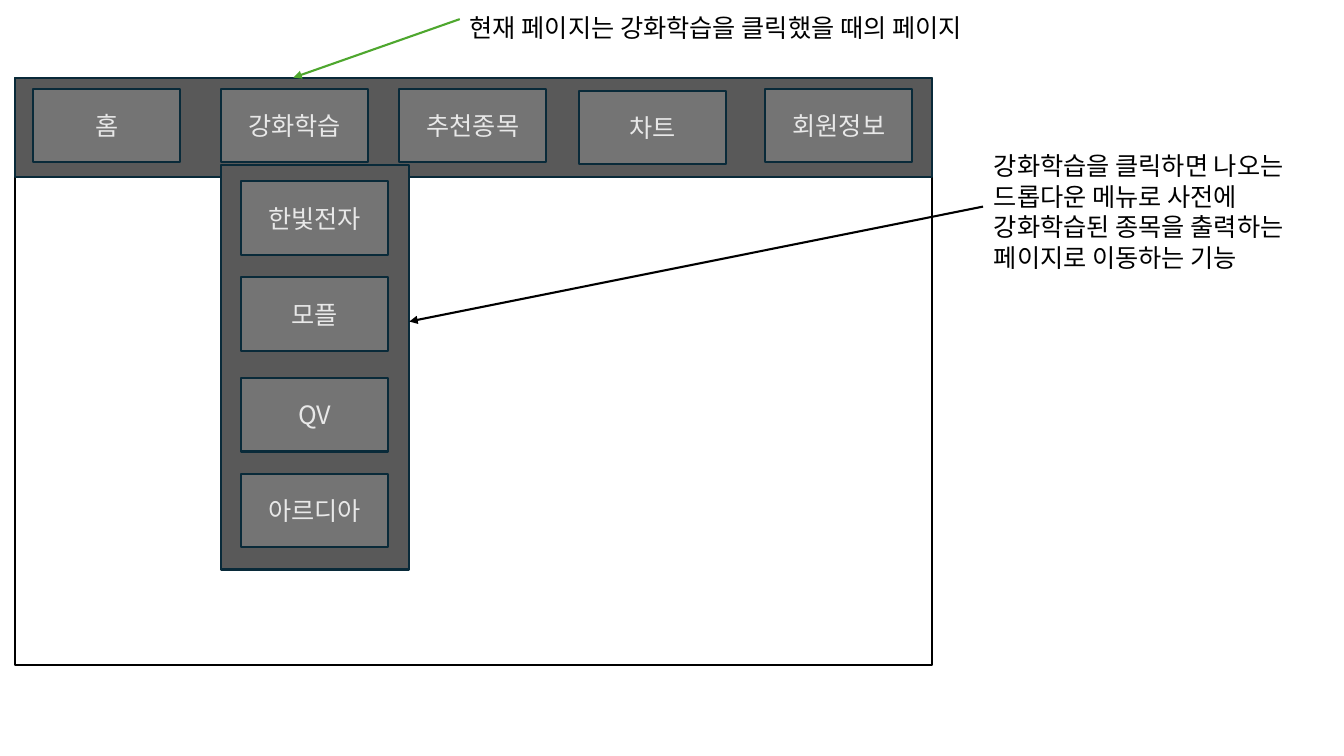
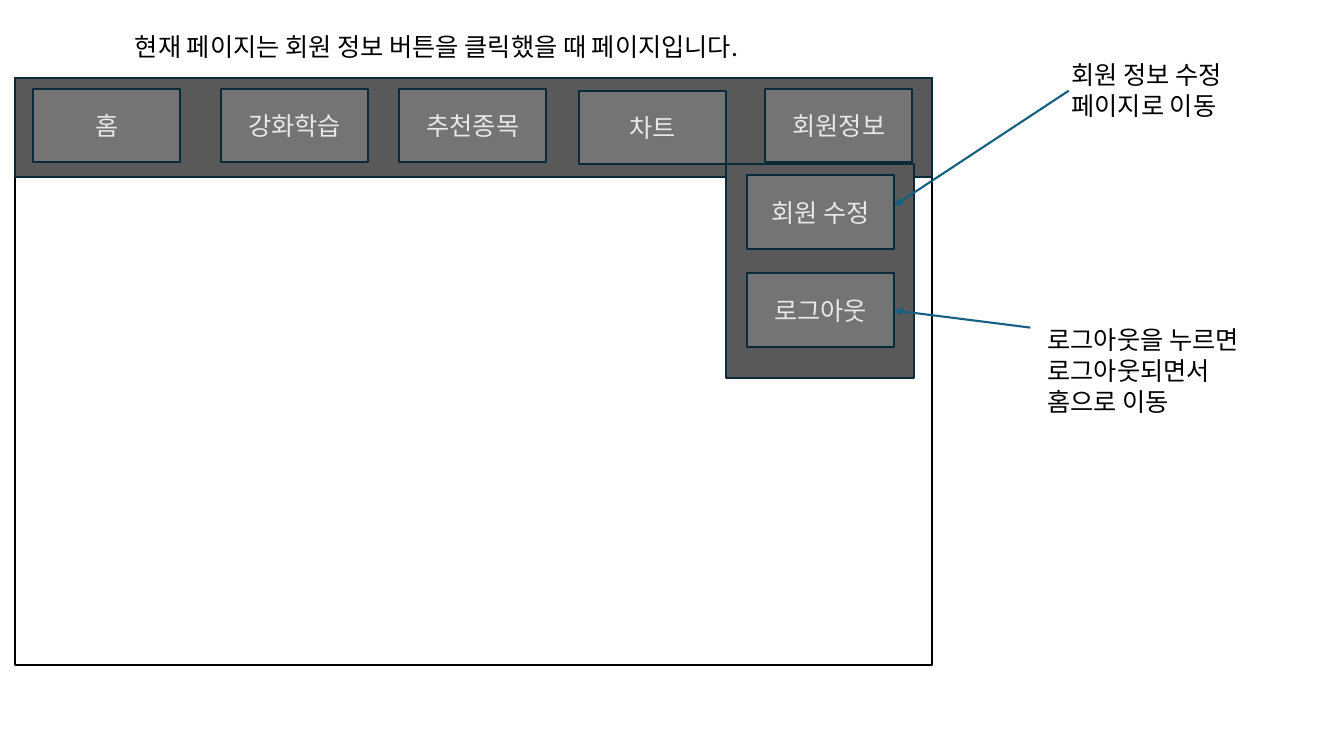
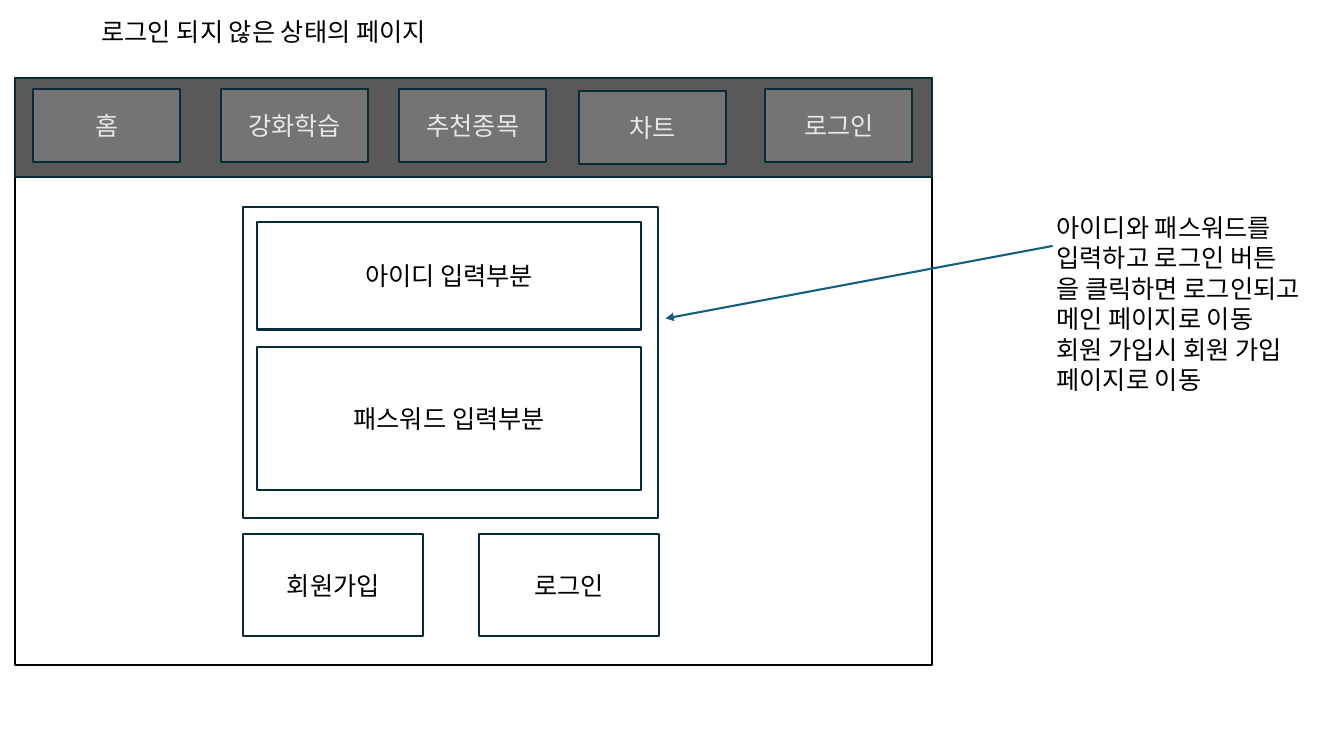
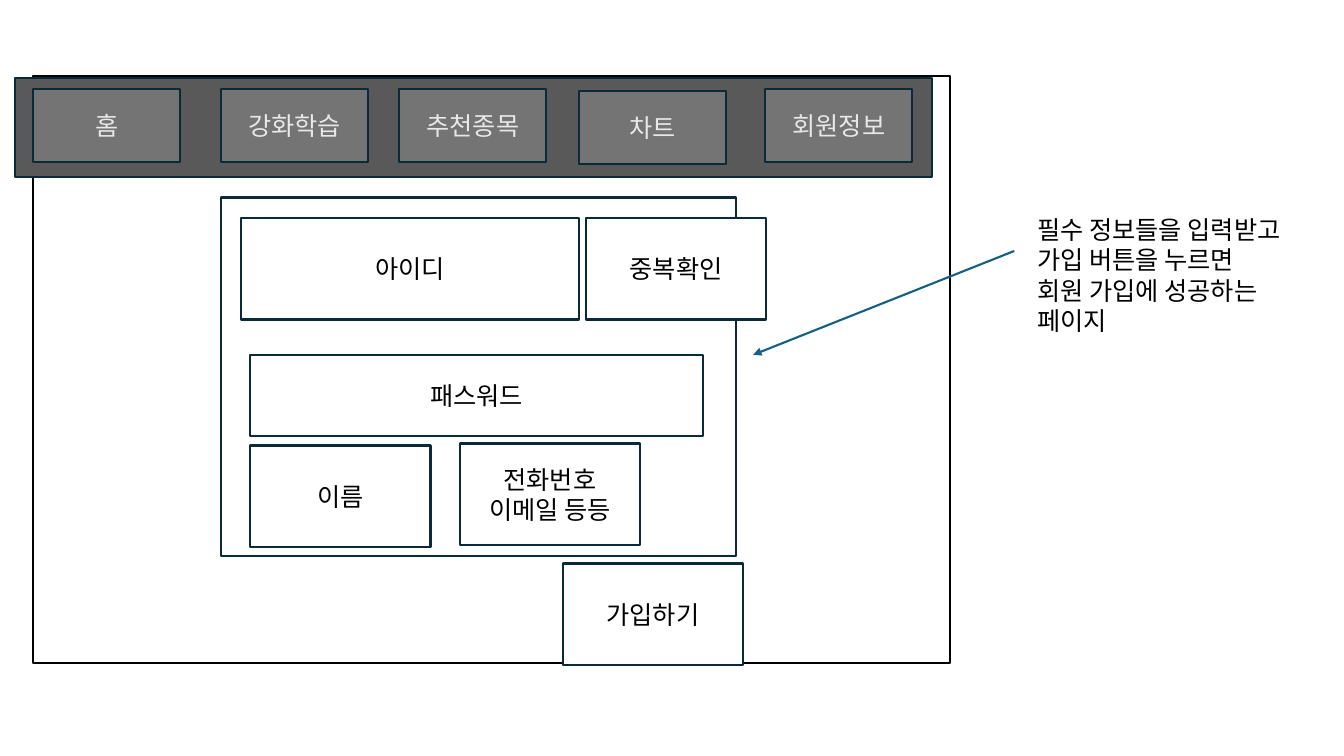
from dataclasses import dataclass

from lxml import etree
from pptx import Presentation
from pptx.dml.color import RGBColor
from pptx.enum import shapes, text
from pptx.oxml.ns import qn
from pptx.util import Inches, Pt


@dataclass(frozen=True)
class Theme:
    font: str = "Noto Sans CJK KR"
    text_size: float = 18
    line_spacing: float = 21.8
    line_width: float = 1.5
    black: str = "000000"
    white: str = "FFFFFF"
    panel: str = "595959"
    button: str = "747474"
    button_text: str = "E8E8E8"
    outline: str = "092A39"
    blue: str = "156082"
    green: str = "4EA72E"


theme = Theme()
# Style name: fill, outline, text colour
BOX_STYLES = {
    "frame": (theme.white, theme.black, theme.black),
    "panel": (theme.panel, theme.outline, theme.button_text),
    "button": (theme.button, theme.outline, theme.button_text),
    "field": (theme.white, theme.outline, theme.black),
}
BUTTON_SIZE = (1.46, 0.73)
FIELD_SIZE = (1.79, 1.01)
FRAME_SIZE = (9.09, 5.83)
MENU_BAR = (0.15, 0.77, 9.09, 0.99)
MENU = [
    (0.33, 0.88, "홈"),
    (2.19, 0.88, "강화학습"),
    (3.96, 0.88, "추천종목"),
    (5.74, 0.9, "차트"),
]
LAST_MENU_PLACE = (7.59, 0.88)


def add_box(slide, style, at, *lines):
    """Add a styled rectangle, or a plain text box when the style is "note"."""
    lengths = [Inches(length) for length in at]
    if style == "note":
        shape = slide.shapes.add_textbox(*lengths)
        color, alignment = theme.black, text.PP_ALIGN.LEFT
        shape.text_frame.auto_size = text.MSO_AUTO_SIZE.SHAPE_TO_FIT_TEXT
    else:
        fill, outline, color = BOX_STYLES[style]
        alignment = text.PP_ALIGN.CENTER
        shape = slide.shapes.add_shape(shapes.MSO_SHAPE.RECTANGLE, *lengths)
        shape.shadow.inherit = False
        shape.fill.solid()
        shape.fill.fore_color.rgb = RGBColor.from_string(fill)
        shape.line.color.rgb = RGBColor.from_string(outline)
        shape.line.width = Pt(theme.line_width)
        shape.text_frame.vertical_anchor = text.MSO_ANCHOR.MIDDLE
    frame = shape.text_frame
    frame.word_wrap = True
    for index, line in enumerate(lines):
        paragraph = frame.add_paragraph() if index else frame.paragraphs[0]
        paragraph.alignment = alignment
        paragraph.line_spacing = Pt(theme.line_spacing)
        run = paragraph.add_run()
        run.text = line
        for name, value in {"name": theme.font, "size": Pt(theme.text_size)}.items():
            setattr(run.font, name, value)
        run.font.color.rgb = RGBColor.from_string(color)
        east_asian = etree.SubElement(run._r.get_or_add_rPr(), qn("a:ea"))
        east_asian.set("typeface", theme.font)


def add_arrow(slide, color, start, end):
    arrow = slide.shapes.add_connector(
        shapes.MSO_CONNECTOR.STRAIGHT, *[Inches(length) for length in start + end]
    )
    arrow.line.color.rgb = RGBColor.from_string(color)
    arrow.line.width = Pt(theme.line_width)
    etree.SubElement(arrow.line._get_or_add_ln(), qn("a:tailEnd")).set("type", "triangle")
    etree.SubElement(arrow._element.spPr, qn("a:effectLst"))


pages = [
    {
        "frame": (0.15, 0.77),
        "last_menu": "회원정보",
        "boxes": [
            ("panel", (2.19, 1.64, 1.87, 4.01)),
            ("button", (2.39, 1.8, *BUTTON_SIZE), "한빛전자"),
            ("button", (2.39, 2.75, *BUTTON_SIZE), "모플"),
            ("button", (2.39, 3.75, *BUTTON_SIZE), "QV"),
            ("button", (2.39, 4.7, *BUTTON_SIZE), "아르디아"),
            ("note", (4.56, 0.07, 5.7, 0.4), "현재 페이지는 강화학습을 클릭했을 때의 페이지"),
            ("note", (9.76, 1.44, 3.41, 1.31), "강화학습을 클릭하면 나오는", "드롭다운 메뉴로 사전에",
             "강화학습된 종목을 출력하는", "페이지로 이동하는 기능"),
        ],
        "arrows": [
            (theme.green, (4.56, 0.19), (2.91, 0.77)),
            (theme.black, (9.75, 2.05), (4.06, 3.19)),
        ],
    },
    {
        "frame": (0.15, 0.77),
        "last_menu": "회원정보",
        "boxes": [
            ("panel", (7.2, 1.63, 1.87, 2.12)),
            ("button", (7.41, 1.74, *BUTTON_SIZE), "회원 수정"),
            ("button", (7.41, 2.71, *BUTTON_SIZE), "로그아웃"),
            ("note", (1.24, 0.26, 6.89, 0.4), "현재 페이지는 회원 정보 버튼을 클릭했을 때 페이지입니다."),
            ("note", (10.29, 3.17, 2.31, 1.01), "로그아웃을 누르면", "로그아웃되면서", "홈으로 이동"),
            ("note", (10.53, 0.54, 1.9, 0.71), "회원 정보 수정", "페이지로 이동"),
        ],
        "arrows": [
            (theme.blue, (10.22, 3.25), (8.87, 3.08)),
            (theme.blue, (10.6, 0.9), (8.87, 2.04)),
        ],
    },
    {
        "frame": (0.15, 0.77),
        "last_menu": "로그인",
        "boxes": [
            ("note", (0.91, 0.11, 3.84, 0.4), "로그인 되지 않은 상태의 페이지"),
            ("field", (2.41, 2.05, 4.12, 3.09)),
            ("field", (2.55, 2.2, 3.81, 1.07), "아이디 입력부분"),
            ("field", (2.55, 3.44, 3.81, 1.42), "패스워드 입력부분"),
            ("field", (2.41, 5.3, *FIELD_SIZE), "회원가입"),
            ("field", (4.75, 5.3, *FIELD_SIZE), "로그인"),
            ("note", (10.38, 2.05, 2.91, 1.92), "아이디와 패스워드를", "입력하고 로그인 버튼",
             "을 클릭하면 로그인되고", "메인 페이지로 이동", "회원 가입시 회원 가입", "페이지로 이동"),
        ],
        "arrows": [(theme.blue, (10.44, 2.44), (6.6, 3.16))],
    },
    {
        "frame": (0.33, 0.75),
        "last_menu": "회원정보",
        "boxes": [
            ("field", (2.19, 1.96, 5.11, 3.56)),
            ("field", (5.58, 5.59, *FIELD_SIZE), "가입하기"),
            ("field", (2.39, 2.16, 3.35, 1.01), "아이디"),
            ("field", (5.81, 2.16, *FIELD_SIZE), "중복확인"),
            ("field", (2.48, 3.52, 4.49, 0.81), "패스워드"),
            ("field", (2.48, 4.42, *FIELD_SIZE), "이름"),
            ("field", (4.56, 4.4, *FIELD_SIZE), "전화번호", "이메일 등등"),
            ("note", (10.19, 2.07, 2.91, 1.31), "필수 정보들을 입력받고", "가입 버튼을 누르면",
             "회원 가입에 성공하는", "페이지"),
        ],
        "arrows": [(theme.blue, (10.06, 2.49), (7.47, 3.52))],
    },
]

presentation = Presentation()
presentation.slide_width = Inches(13.33)
presentation.slide_height = Inches(7.5)
blank_layout = presentation.slide_layouts[6]

for page in pages:
    slide = presentation.slides.add_slide(blank_layout)
    add_box(slide, "frame", (*page["frame"], *FRAME_SIZE))
    add_box(slide, "panel", MENU_BAR)
    for left, top, label in [*MENU, (*LAST_MENU_PLACE, page["last_menu"])]:
        add_box(slide, "button", (left, top, *BUTTON_SIZE), label)
    for style, at, *lines in page["boxes"]:
        add_box(slide, style, at, *lines)
    for color, start, end in page["arrows"]:
        add_arrow(slide, color, start, end)

presentation.save("out.pptx")
